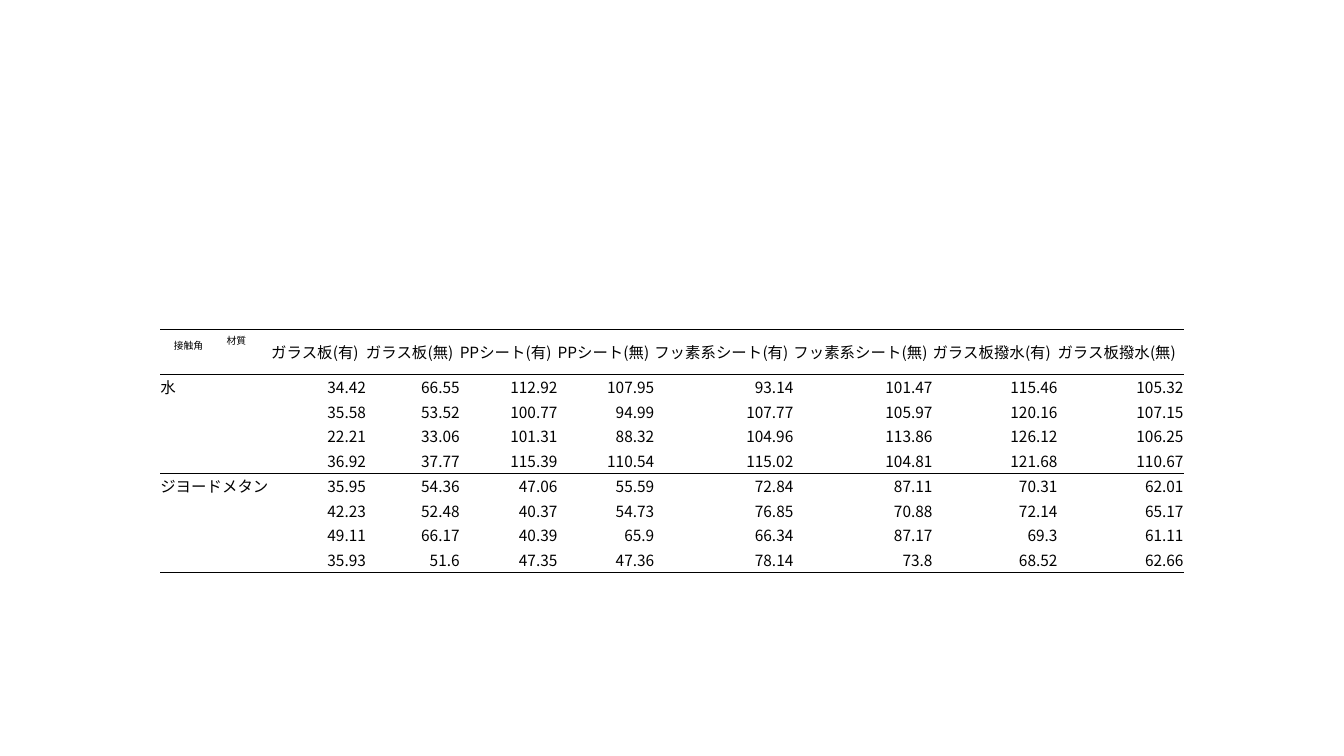
from dataclasses import dataclass

from lxml.etree import SubElement
from pptx import Presentation
from pptx.dml.color import RGBColor
from pptx.enum.text import MSO_ANCHOR as Anchor, PP_ALIGN as Align
from pptx.oxml.ns import qn
from pptx.util import Inches, Pt


@dataclass(frozen=True)
class Theme:
    font: str = "Noto Sans CJK JP"
    ink: str = "000000"
    body: float = 11
    corner: float = 7
    rule: float = 1


theme = Theme()
NO_STYLE_NO_GRID = "{2D5ABB26-0587-4C30-8999-92F81FD0307C}"

materials = ["ガラス板", "PPシート", "フッ素系シート", "ガラス板撥水"]
headings = [f"{material}({state})" for material in materials for state in "有無"]
contact_angles = {
    "水": [
        [34.42, 66.55, 112.92, 107.95, 93.14, 101.47, 115.46, 105.32],
        [35.58, 53.52, 100.77, 94.99, 107.77, 105.97, 120.16, 107.15],
        [22.21, 33.06, 101.31, 88.32, 104.96, 113.86, 126.12, 106.25],
        [36.92, 37.77, 115.39, 110.54, 115.02, 104.81, 121.68, 110.67],
    ],
    "ジヨードメタン": [
        [35.95, 54.36, 47.06, 55.59, 72.84, 87.11, 70.31, 62.01],
        [42.23, 52.48, 40.37, 54.73, 76.85, 70.88, 72.14, 65.17],
        [49.11, 66.17, 40.39, 65.9, 66.34, 87.17, 69.3, 61.11],
        [35.93, 51.6, 47.35, 47.36, 78.14, 73.8, 68.52, 62.66],
    ],
}
rows = [["", *headings]]
section_starts = []
for liquid, trials in contact_angles.items():
    section_starts.append(len(rows))
    for trial, angles in enumerate(trials):
        rows.append(["" if trial else liquid, *map(str, angles)])
ruled_above = {0, *section_starts}
ruled_below = {start - 1 for start in section_starts} | {len(rows) - 1}


def style_text(paragraph, size, align):
    paragraph.alignment = align
    for run in paragraph.runs:
        run.font.size = Pt(size)
        run.font.name = theme.font
        run.font.color.rgb = RGBColor.from_string(theme.ink)
        SubElement(run.font._element, qn("a:ea"), typeface=theme.font)
    if not paragraph.runs:
        SubElement(paragraph._p, qn("a:endParaRPr"), sz=str(int(size * 100)))


def rule_cell(cell, edge, ruled):
    """Draw or clear the rule on one edge: "T" for top, "B" for bottom."""
    line = SubElement(cell._tc.get_or_add_tcPr(), qn(f"a:ln{edge}"), w=str(Pt(theme.rule)))
    if ruled:
        fill = SubElement(line, qn("a:solidFill"))
        SubElement(fill, qn("a:srgbClr"), val=theme.ink)
    else:
        SubElement(line, qn("a:noFill"))


deck = Presentation()
deck.slide_width, deck.slide_height = Inches(13.33), Inches(7.5)
slide = deck.slides.add_slide(deck.slide_layouts[6])

left, top, height = 1.59, 3.27, 2.21
column_widths = [1.1, 0.94, 0.93, 0.97, 0.96, 1.38, 1.38, 1.24, 1.25]
results = slide.shapes.add_table(
    len(rows), len(column_widths),
    Inches(left), Inches(top), Inches(sum(column_widths)), Inches(height),
).table
results.first_row = results.horz_banding = False
results._tbl.tblPr.find(qn("a:tableStyleId")).text = NO_STYLE_NO_GRID
for column, width in zip(results.columns, column_widths):
    column.width = Inches(width)

for r, row in enumerate(rows):
    for c, entry in enumerate(row):
        cell = results.cell(r, c)
        cell.text_frame.text = entry
        cell.vertical_anchor = Anchor.MIDDLE
        cell.margin_left = cell.margin_right = cell.margin_top = cell.margin_bottom = 0
        style_text(cell.text_frame.paragraphs[0], theme.body,
                   Align.RIGHT if r and c else Align.LEFT)
        rule_cell(cell, "T", r in ruled_above)
        rule_cell(cell, "B", r in ruled_below)
        cell.fill.background()

corner_labels = [
    ("材質", 0.56, 0, 0.4, 0.21, Align.LEFT),
    ("接触角", 0, 0.05, 0.56, 0.24, Align.CENTER),
]
for wording, across, down, width, depth, align in corner_labels:
    label = slide.shapes.add_textbox(
        Inches(left + across), Inches(top + down), Inches(width), Inches(depth)
    ).text_frame
    label.word_wrap = True
    label.text = wording
    style_text(label.paragraphs[0], theme.corner, align)

deck.save("out.pptx")
